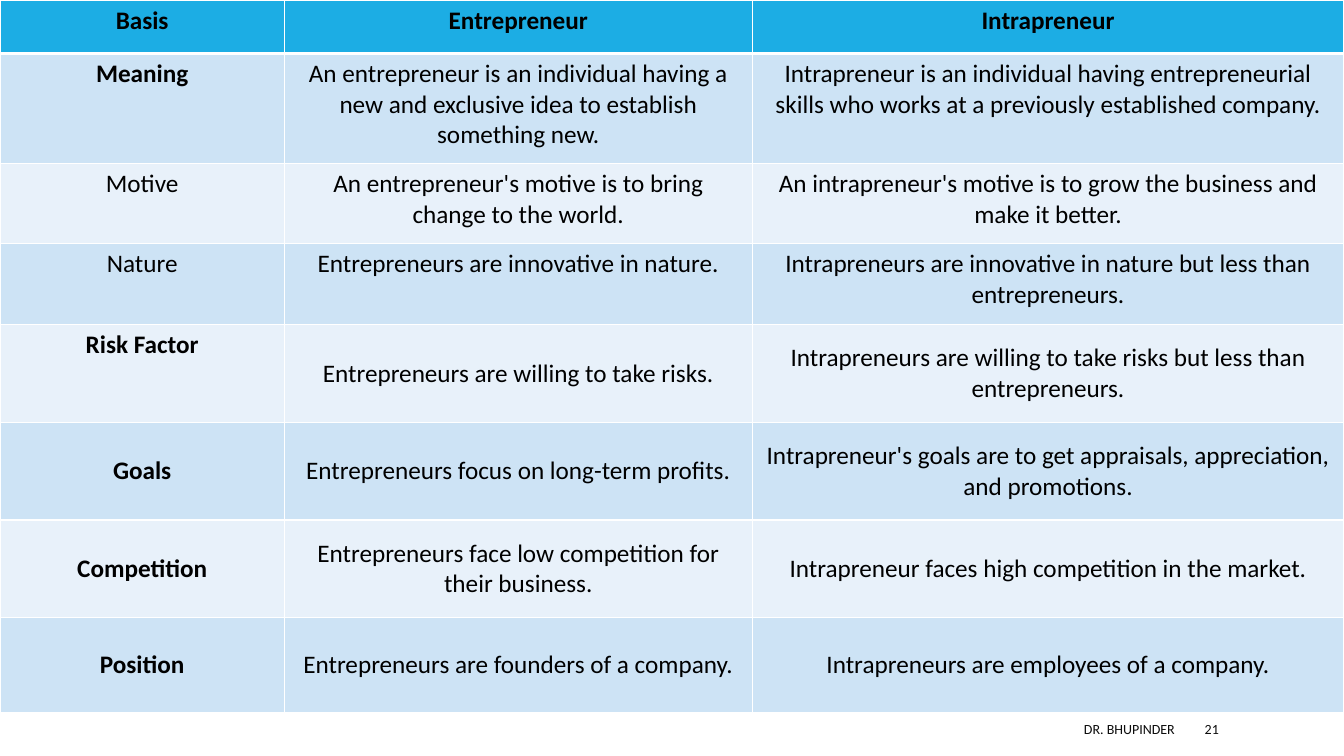
from dataclasses import dataclass

from lxml import etree
from pptx import Presentation
from pptx.dml.color import RGBColor
from pptx.enum.text import MSO_ANCHOR, PP_ALIGN
from pptx.oxml.ns import qn
from pptx.util import Inches, Pt

TOP, MIDDLE = MSO_ANCHOR.TOP, MSO_ANCHOR.MIDDLE
LEFT, CENTER, RIGHT = PP_ALIGN.LEFT, PP_ALIGN.CENTER, PP_ALIGN.RIGHT


@dataclass(frozen=True)
class Theme:
    font: str = "Calibri"
    cell_size: int = 18
    footer_size: int = 10
    cell_text: str = "000000"
    footer_text: str = "0D0D0D"
    header: str = "1CADE4"
    bands: tuple = ("CDE3F5", "E8F1FA")
    border: str = "FFFFFF"
    border_width: int = 1
    header_rule: int = 3


class ComparisonSlide:
    def __init__(self, deck, theme):
        self.theme = theme
        self.width, self.height = deck.slide_width, deck.slide_height
        self.slide = deck.slides.add_slide(deck.slide_layouts[6])

    def across(self, percent):
        return round(self.width * percent / 100)

    def down(self, percent):
        return round(self.height * percent / 100)

    def style(self, paragraph, size, color, align, bold=False):
        paragraph.alignment = align
        font = paragraph.font
        font.name, font.size, font.bold = self.theme.font, Pt(size), bold
        font.color.rgb = RGBColor.from_string(color)

    def footer(self, text, left, width, align):
        box = self.slide.shapes.add_textbox(
            self.across(left), self.down(94.4), self.across(width), self.down(4))
        frame = box.text_frame
        frame.word_wrap = True
        frame.vertical_anchor = MIDDLE
        frame.text = text
        self.style(frame.paragraphs[0], self.theme.footer_size,
                   self.theme.footer_text, align)

    def borders(self, cell, top, bottom):
        properties = cell._tc.get_or_add_tcPr()
        side = self.theme.border_width
        for tag, width in (("a:lnL", side), ("a:lnR", side),
                           ("a:lnT", top), ("a:lnB", bottom)):
            line = etree.SubElement(properties, qn(tag), w=str(Pt(width)))
            fill = etree.SubElement(line, qn("a:solidFill"))
            etree.SubElement(fill, qn("a:srgbClr"), val=self.theme.border)

    def cell(self, cell, text, fill, bold, padded, top, bottom):
        self.borders(cell, top, bottom)
        cell.fill.solid()
        cell.fill.fore_color.rgb = RGBColor.from_string(fill)
        cell.vertical_anchor = MIDDLE if padded else TOP
        if padded:
            cell.margin_top = cell.margin_bottom = self.down(2)
        cell.text = text
        self.style(cell.text_frame.paragraphs[0], self.theme.cell_size,
                   self.theme.cell_text, CENTER, bold)

    def table(self, headings, comparisons, columns, rows):
        theme = self.theme
        table = self.slide.shapes.add_table(
            len(rows), len(columns), 0, 0,
            self.across(sum(columns)), self.down(sum(rows))).table
        for column, share in zip(table.columns, columns):
            column.width = self.across(share)
        for row, share in zip(table.rows, rows):
            row.height = self.down(share)
        for column, heading in enumerate(headings):
            self.cell(table.cell(0, column), heading, theme.header, True, False,
                      theme.border_width, theme.header_rule)
        for row, (texts, bold_basis, padded_from) in enumerate(comparisons, 1):
            fill = theme.bands[(row - 1) % len(theme.bands)]
            top = theme.header_rule if row == 1 else theme.border_width
            for column, text in enumerate(texts):
                self.cell(table.cell(row, column), text, fill,
                          bold_basis and column == 0, column >= padded_from,
                          top, theme.border_width)


HEADINGS = ("Basis", "Entrepreneur", "Intrapreneur")
UNPADDED = len(HEADINGS)
COMPARISONS = (
    (("Meaning",
      "An entrepreneur is an individual having a new and exclusive idea to establish something new.",
      "Intrapreneur is an individual having entrepreneurial skills who works at a previously established company."),
     True, UNPADDED),
    (("Motive",
      "An entrepreneur's motive is to bring change to the world.",
      "An intrapreneur's motive is to grow the business and make it better."),
     False, UNPADDED),
    (("Nature",
      "Entrepreneurs are innovative in nature.",
      "Intrapreneurs are innovative in nature but less than entrepreneurs."),
     False, UNPADDED),
    (("Risk Factor",
      "Entrepreneurs are willing to take risks.",
      "Intrapreneurs are willing to take risks but less than entrepreneurs."),
     True, 1),
    (("Goals",
      "Entrepreneurs focus on long-term profits.",
      "Intrapreneur's goals are to get appraisals, appreciation, and promotions."),
     True, 0),
    (("Competition",
      "Entrepreneurs face low competition for their business.",
      "Intrapreneur faces high competition in the market."),
     True, 0),
    (("Position",
      "Entrepreneurs are founders of a company.",
      "Intrapreneurs are employees of a company."),
     True, 0),
)


def main():
    deck = Presentation()
    deck.slide_width, deck.slide_height = Inches(13.33), Inches(7.5)
    comparison = ComparisonSlide(deck, Theme())
    comparison.footer("DR. BHUPINDER", 39.76, 48.39, RIGHT)
    comparison.footer("21", 88.9, 7.95, LEFT)
    comparison.table(
        HEADINGS, COMPARISONS,
        columns=(21.16, 34.81, 44.03),
        rows=(7.07, 14.53, 10.67, 10.67, 12.93, 12.93, 12.93, 12.53))
    deck.save("out.pptx")


if __name__ == "__main__":
    main()
